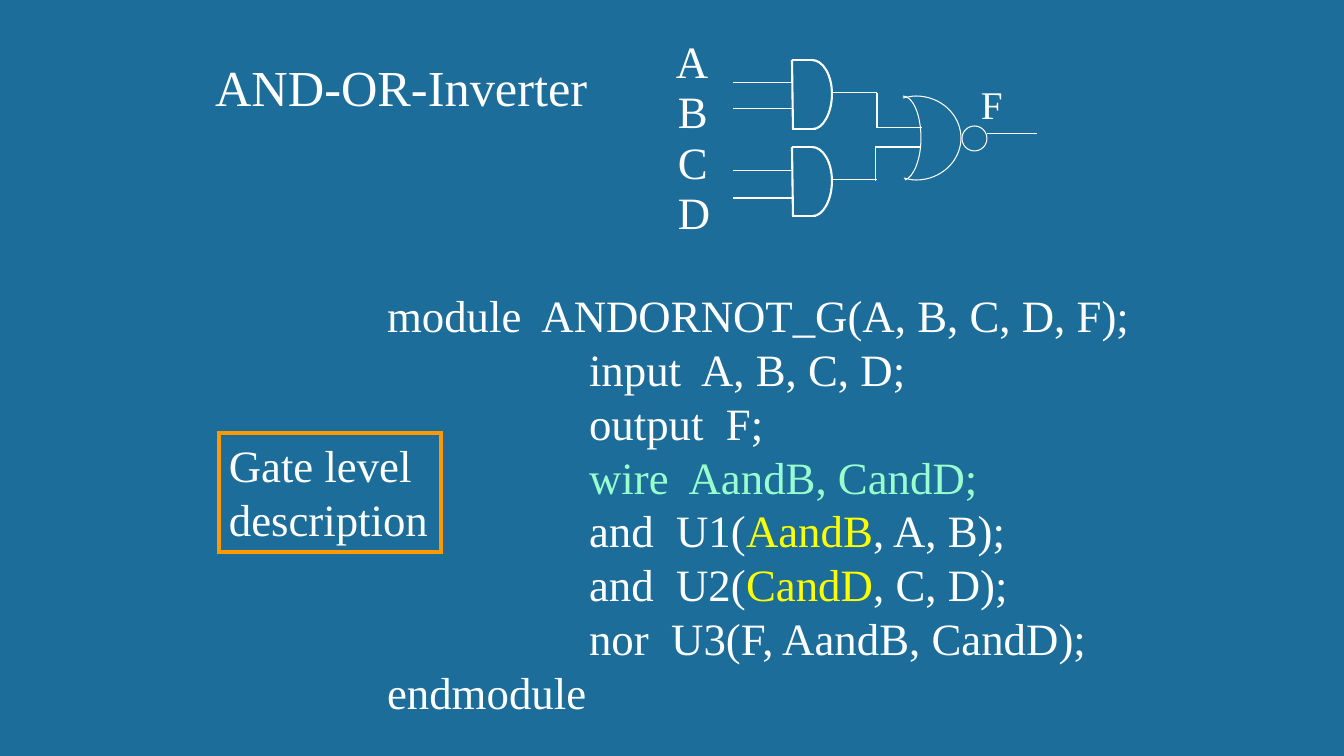
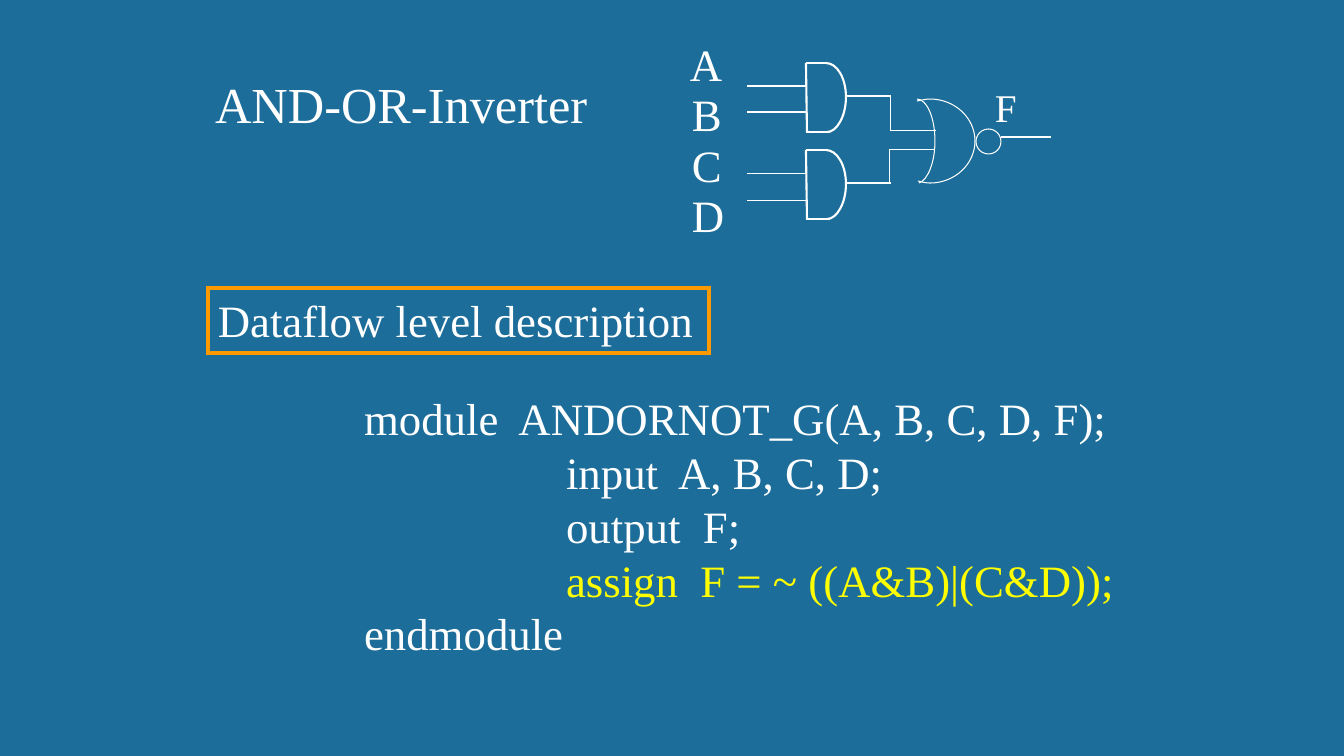
"""Two slides that describe an AND-OR-Inverter at gate and dataflow level."""
from dataclasses import dataclass

from lxml import etree
from pptx import Presentation
from pptx import util as u
from pptx.dml.color import RGBColor
from pptx.enum import shapes, text
from pptx.oxml import ns

WIDE, HIGH = 1344, 756
SCALE = 12192000 / WIDE
FONT = "Times New Roman"
TITLE = "AND-OR-Inverter"
HUES = {"back": "1C6D9A", "ink": "FFFFFF", "frame": "FF9900", "mint": "99FFCC", "key": "FFFF00"}
STEP = 202
THIN, THICK = 0.75, 1.5

Point = tuple[int, int]


@dataclass(frozen=True)
class Box:
    left: int
    top: int
    width: int
    height: int

    def emu(self) -> tuple[int, ...]:
        return tuple(px(n) for n in (self.left, self.top, self.width, self.height))

    def shift(self, dx: int, dy: int) -> "Box":
        return Box(self.left + dx, self.top + dy, self.width, self.height)


@dataclass(frozen=True)
class Run:
    words: str
    hue: str = "ink"


@dataclass(frozen=True)
class Line:
    runs: tuple[Run, ...]
    indent: int = 0


@dataclass(frozen=True)
class Label:
    words: str
    box: Box
    size: int = 32


@dataclass(frozen=True)
class Wire:
    start: Point
    end: Point
    weight: float = THIN


@dataclass(frozen=True)
class Curve:
    points: tuple[Point, ...]
    weight: float = THIN


@dataclass(frozen=True)
class Page:
    title: Box
    shift: tuple[int, int]
    note: Box
    words: tuple[str, ...]
    body: Box
    code: tuple[Line, ...]


def plain(words: str, indent: int = 0) -> Line:
    """Make a line of one white run."""
    return Line((Run(words),), indent)


def inner(*runs: Run) -> Line:
    """Make an indented line."""
    return Line(runs, STEP)


LABELS = (
    Label("A", Box(666, 29, 54, 65)),
    Label("B", Box(668, 79, 54, 65)),
    Label("C", Box(668, 130, 54, 65)),
    Label("D", Box(668, 180, 54, 65)),
    Label("F", Box(971, 75, 43, 57), 28),
)
GATES = (60, 147)
WIRES = (
    *(Wire((792, y), (733, y)) for y in (83, 109, 171, 198)),
    Wire((832, 93), (877, 93)),
    Wire((877, 93), (877, 128)),
    Wire((877, 128), (922, 128)),
    Wire((832, 180), (877, 180)),
    Wire((876, 146), (876, 181)),
    Wire((876, 147), (921, 147)),
    Wire((987, 134), (1037, 134)),
    *(
        side
        for y in GATES
        for side in (
            Wire((812, y), (792, y), THICK),
            Wire((816, y + 69), (792, y + 69), THICK),
            Wire((792, y), (793, y + 69), THICK),
        )
    ),
)
CURVES = (
    *(
        Curve(((812, y), (823, y), (832, y + 15), (832, y + 34),
               (832, y + 53), (823, y + 69), (813, y + 69)), THICK)
        for y in GATES
    ),
    Curve(((903, 96), (913, 96), (921, 115), (921, 138), (921, 159), (914, 177), (905, 180))),
    Curve(((903, 98), (908, 97), (912, 96), (916, 96), (941, 96), (961, 115), (961, 138),
           (961, 161), (941, 180), (916, 180), (912, 180), (908, 179), (904, 178))),
)
BUBBLE = Box(962, 126, 25, 25)

HEAD = (
    plain("module  ANDORNOT_G(A, B, C, D, F);"),
    plain("input  A, B, C, D;", STEP),
    plain("output  F;", STEP),
)
TAIL = plain("endmodule")
PAGES = (
    Page(
        Box(205, 51, 409, 72), (0, 0),
        Box(219, 433, 222, 119), ("Gate level", "description"),
        Box(377, 283, 821, 445),
        (
            *HEAD,
            inner(Run("wire  AandB, CandD;", "mint")),
            inner(Run("and  U1("), Run("AandB", "key"), Run(", A, B);")),
            inner(Run("and  U2("), Run("CandD", "key"), Run(", C, D);")),
            inner(Run("nor  U3(F, AandB, CandD);")),
            TAIL,
        ),
    ),
    Page(
        Box(205, 68, 409, 72), (14, 3),
        Box(208, 288, 501, 65), ("Dataflow level description",),
        Box(354, 386, 821, 281),
        (*HEAD, inner(Run("assign  F = ~ ((A&B)|(C&D));", "key")), TAIL),
    ),
)


def px(count: float) -> int:
    """Turn px into EMU."""
    return round(count * SCALE)


def tint(name: str) -> RGBColor:
    """Look up a colour."""
    return RGBColor.from_string(HUES[name])


def place(shape, box: Box) -> None:
    """Move and size a shape."""
    shape.left, shape.top, shape.width, shape.height = box.emu()


def write(frame, lines: tuple[Line, ...], size: int) -> None:
    """Fill a text frame run by run."""
    frame.word_wrap = True
    frame.auto_size = text.MSO_AUTO_SIZE.NONE
    frame.vertical_anchor = text.MSO_ANCHOR.TOP
    for spot, line in enumerate(lines):
        para = frame.add_paragraph() if spot else frame.paragraphs[0]
        props = para._p.get_or_add_pPr()
        props.set("marL", str(px(line.indent)))
        props.set("indent", "0")
        etree.SubElement(props, ns.qn("a:buNone"))
        para.alignment = text.PP_ALIGN.LEFT
        para.line_spacing = u.Pt(size * 1.2)
        para.space_before = para.space_after = u.Pt(0)
        for part in line.runs:
            run = para.add_run()
            run.text = part.words
            run.font.name = FONT
            run.font.size = u.Pt(size)
            run.font.color.rgb = tint(part.hue)


def stroke(shape, weight: float, hue: str = "ink") -> None:
    """Give a shape an outline only."""
    shape.shadow.inherit = False
    shape.fill.background()
    shape.line.color.rgb = tint(hue)
    shape.line.width = u.Pt(weight)
    etree.SubElement(shape.line._get_or_add_ln(), ns.qn("a:miter")).set("lim", "800000")


def wire(slide, start: Point, end: Point, weight: float) -> None:
    """Draw one straight wire."""
    ends = [px(n) for n in (*start, *end)]
    line = slide.shapes.add_connector(shapes.MSO_CONNECTOR.STRAIGHT, *ends)
    line.line.color.rgb = tint("ink")
    line.line.width = u.Pt(weight)
    etree.SubElement(line._element.spPr, ns.qn("a:effectLst"))


def bend(slide, points: list[Point], weight: float) -> None:
    """Draw an open cubic curve through every third point."""
    spots = [(px(x), px(y)) for x, y in points]
    pen = slide.shapes.build_freeform(*spots[0], scale=1.0)
    pen.add_line_segments(spots[1:], close=False)
    shape = pen.convert_to_shape()
    track = next(shape._element.iter(ns.qn("a:path")))
    steps = track.findall(ns.qn("a:lnTo"))
    for first in range(0, len(steps), 3):
        cubic = etree.SubElement(track, ns.qn("a:cubicBezTo"))
        for step in steps[first:first + 3]:
            cubic.append(step[0])
            track.remove(step)
    stroke(shape, weight)


def circuit(slide, dx: int, dy: int) -> None:
    """Draw the gates, wires and labels."""
    def move(*points: Point) -> list[Point]:
        return [(x + dx, y + dy) for x, y in points]

    for item in WIRES:
        wire(slide, *move(item.start, item.end), item.weight)
    for curve in CURVES:
        bend(slide, move(*curve.points), curve.weight)
    ring = slide.shapes.add_shape(shapes.MSO_SHAPE.OVAL, *BUBBLE.shift(dx, dy).emu())
    stroke(ring, THIN)
    for label in LABELS:
        box = slide.shapes.add_textbox(*label.box.shift(dx, dy).emu())
        write(box.text_frame, (plain(label.words),), label.size)


def build(deck, page: Page) -> None:
    """Add one slide."""
    slide = deck.slides.add_slide(deck.slide_layouts[1])
    title, body = slide.shapes.title, slide.placeholders[1]
    place(title, page.title)
    write(title.text_frame, (plain(TITLE),), 36)
    place(body, page.body)
    write(body.text_frame, page.code, 32)
    circuit(slide, *page.shift)
    note = slide.shapes.add_shape(shapes.MSO_SHAPE.RECTANGLE, *page.note.emu())
    stroke(note, 3, "frame")
    write(note.text_frame, tuple(plain(words) for words in page.words), 32)


def main() -> None:
    """Build and save the deck."""
    deck = Presentation()
    deck.slide_width, deck.slide_height = px(WIDE), px(HIGH)
    fill = deck.slide_master.background.fill
    fill.solid()
    fill.fore_color.rgb = tint("back")
    for page in PAGES:
        build(deck, page)
    deck.save("out.pptx")


if __name__ == "__main__":
    main()
